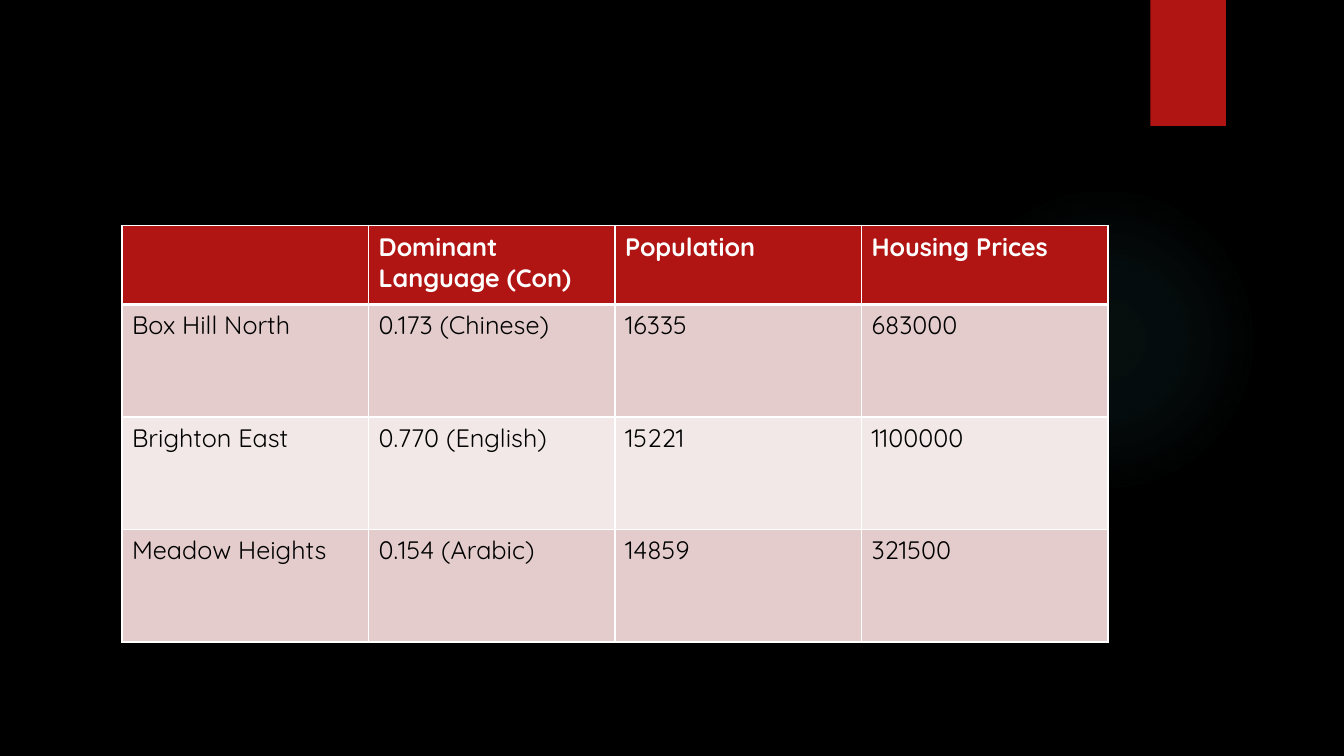
from dataclasses import dataclass

from lxml import etree
from pptx import Presentation
from pptx.dml.color import RGBColor
from pptx.enum.shapes import MSO_SHAPE
from pptx.oxml.ns import qn
from pptx.util import Inches, Pt

OVAL = MSO_SHAPE.OVAL
RECTANGLE = MSO_SHAPE.RECTANGLE


@dataclass(frozen=True)
class Theme:
    """Colours, font and sizes of the slide."""
    background: str = "000000"
    accent: str = "B01513"
    glow: str = "50B9C1"
    bands: tuple = ("E4CCCC", "F2E8E7")
    header_text: str = "FFFFFF"
    body_text: str = "000000"
    border: str = "FFFFFF"
    font: str = "Quicksand"
    text_size: int = 18
    thin: int = 1
    thick: int = 3


class SlideBuilder:
    """Draws styled elements on one slide."""

    def __init__(self, slide, theme):
        """Keep the slide and theme, and paint the background."""
        self.slide = slide
        self.theme = theme
        self.paint(slide.background.fill, theme.background)

    def paint(self, fill, color):
        """Give a fill one solid colour."""
        fill.solid()
        fill.fore_color.rgb = RGBColor.from_string(color)

    def block(self, kind, left, top, width, height, color):
        """Add a flat shape without outline or shadow."""
        shape = self.slide.shapes.add_shape(
            kind, Inches(left), Inches(top), Inches(width), Inches(height))
        self.paint(shape.fill, color)
        shape.line.fill.background()
        shape.shadow.inherit = False
        return shape

    def glow(self, left, top, size, stops):
        """Add a circle that fades out from its centre."""
        circle = self.block(OVAL, left, top, size, size, self.theme.glow)
        gradient = etree.Element(qn("a:gradFill"), rotWithShape="1")
        stop_list = etree.SubElement(gradient, qn("a:gsLst"))
        for position, opacity in stops:
            stop = etree.SubElement(stop_list, qn("a:gs"), pos=str(position * 1000))
            color = etree.SubElement(stop, qn("a:srgbClr"), val=self.theme.glow)
            etree.SubElement(color, qn("a:alpha"), val=str(opacity * 1000))
        radial = etree.SubElement(gradient, qn("a:path"), path="circle")
        etree.SubElement(radial, qn("a:fillToRect"),
                         dict.fromkeys("ltrb", "50000"))
        properties = circle.element.spPr
        properties.replace(properties.find(qn("a:solidFill")), gradient)

    def border(self, cell, side, width):
        """Draw one side of a cell."""
        line = etree.SubElement(cell._tc.get_or_add_tcPr(), qn(f"a:ln{side}"),
                                w=str(Pt(width)))
        fill = etree.SubElement(line, qn("a:solidFill"))
        etree.SubElement(fill, qn("a:srgbClr"), val=self.theme.border)

    def cell(self, cell, text, row):
        """Fill, border and write one table cell."""
        theme = self.theme
        is_header = row == 0
        widths = {"L": theme.thin, "R": theme.thin,
                  "T": theme.thick if row == 1 else theme.thin,
                  "B": theme.thick if is_header else theme.thin}
        for side, width in widths.items():
            self.border(cell, side, width)
        self.paint(cell.fill, theme.accent if is_header else theme.bands[(row - 1) % 2])
        cell.text_frame.text = text
        paragraph = cell.text_frame.paragraphs[0]
        for run in paragraph.runs:
            run.font.name = theme.font
            run.font.size = Pt(theme.text_size)
            run.font.bold = is_header
            run.font.color.rgb = RGBColor.from_string(
                theme.header_text if is_header else theme.body_text)

    def table(self, left, top, width, height, header_height, rows):
        """Add a table with equal columns and equal body rows."""
        table = self.slide.shapes.add_table(
            len(rows), len(rows[0]), Inches(left), Inches(top),
            Inches(width), Inches(height)).table
        body_height = (height - header_height) / (len(rows) - 1)
        for row, texts in enumerate(rows):
            table.rows[row].height = Inches(body_height if row else header_height)
            for column, text in enumerate(texts):
                self.cell(table.cell(row, column), text, row)


SUBURBS = [
    ("", "Dominant Language (Con)", "Population", "Housing Prices"),
    ("Box Hill North", "0.173 (Chinese)", "16335", "683000"),
    ("Brighton East", "0.770 (English)", "15221", "1100000"),
    ("Meadow Heights", "0.154 (Arabic)", "14859", "321500"),
]


def main():
    """Build the suburb comparison slide."""
    presentation = Presentation()
    presentation.slide_width = Inches(13.33)
    presentation.slide_height = Inches(7.5)
    theme = Theme()
    slide = presentation.slides.add_slide(presentation.slide_layouts[6])
    builder = SlideBuilder(slide, theme)
    builder.glow(9.41, 1.83, 3.08, [(0, 7), (36, 6), (69, 0)])
    builder.block(RECTANGLE, 11.41, 0, 0.75, 1.25, theme.accent)
    builder.table(1.21, 2.24, 9.78, 4.13, 0.78, SUBURBS)
    presentation.save("out.pptx")


if __name__ == "__main__":
    main()
